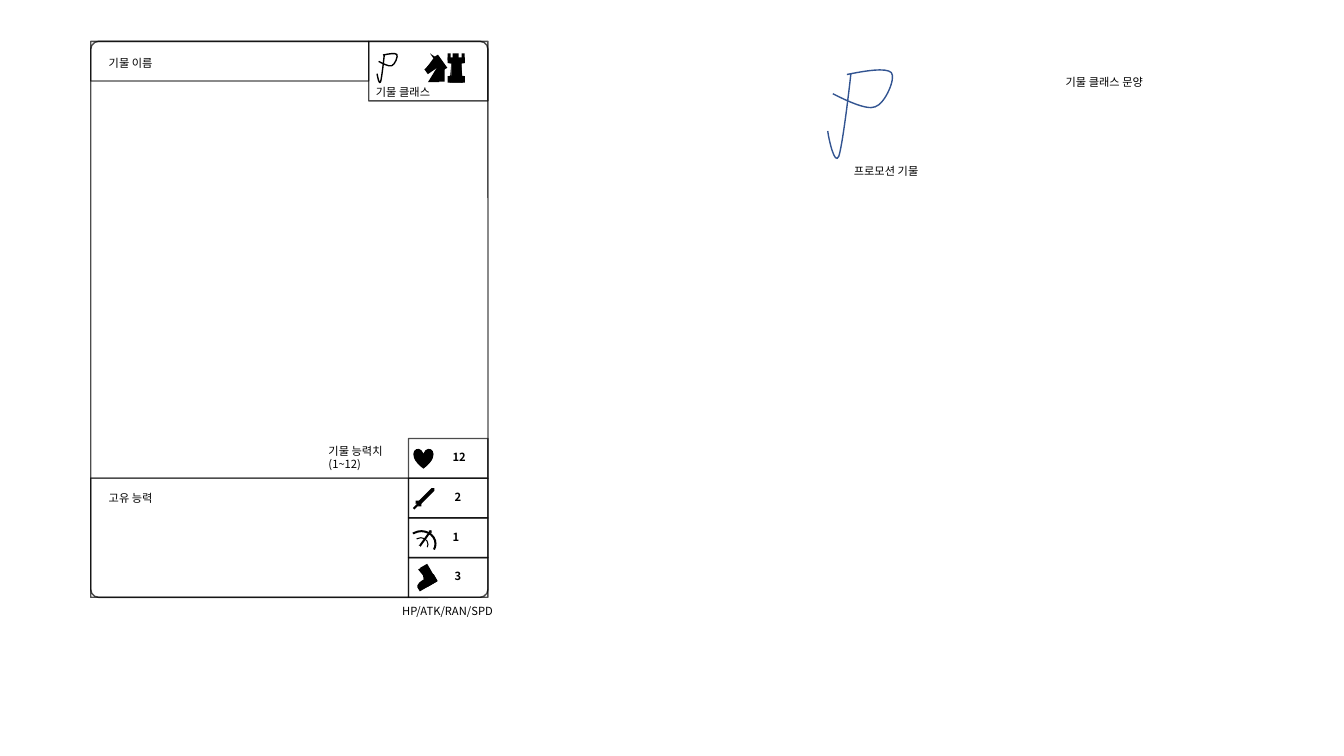
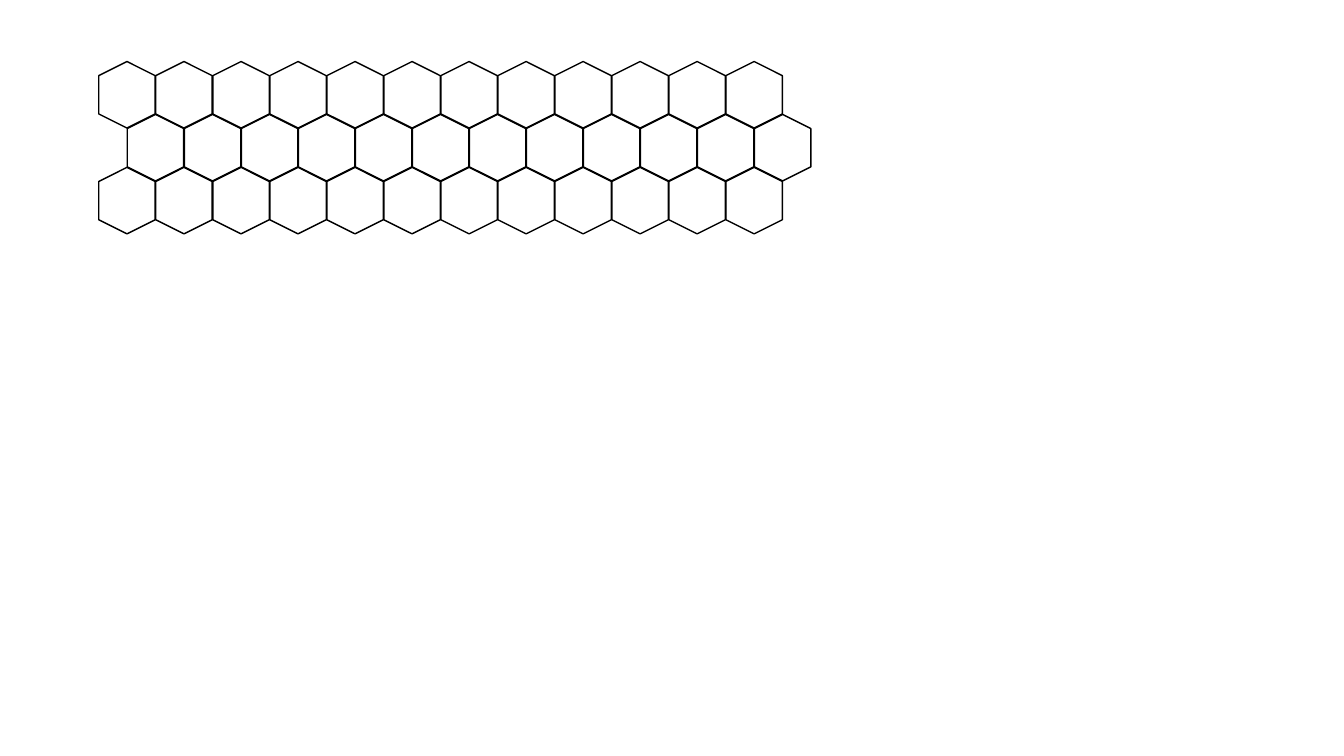
from lxml.etree import SubElement
from pptx import Presentation
from pptx.dml.color import RGBColor
from pptx.enum.shapes import MSO_SHAPE as S
from pptx.enum.text import MSO_AUTO_SIZE
from pptx.oxml.ns import qn
from pptx.util import Inches, Pt

BLACK = RGBColor(0x00, 0x00, 0x00)
BLUE = RGBColor(0x32, 0x54, 0x91)
FONT = "Noto Sans CJK KR"

# Card grid: 10 by 14 square cells
CARD_LEFT, CARD_TOP, CARD_WIDTH = 0.9, 0.41, 3.94
CELL = CARD_WIDTH / 10
FIRST_STAT_ROW = 10

# Icon parts: preset, (left, top, width, height), then options
HEART = [(S.HEART, (4.1, 4.45, 0.2, 0.2))]
SWORD = [
    (S.UP_ARROW, (4.21, 4.81, 0.04, 0.22), {"rotation": 45, "adjust": (1, 0.5)}),
    (S.UP_ARROW, (4.17, 4.86, 0.02, 0.22), {"rotation": 45, "adjust": (1, 0.5)}),
    (S.LEFT_RIGHT_ARROW, (4.11, 4.97, 0.08, 0.05), {"rotation": 45}),
]
ARC = {"adjust": (138.319, 14.867, 0.074)}
BOW = [
    (S.BLOCK_ARC, (4.03, 5.26, 0.3, 0.27), ARC),
    (S.BLOCK_ARC, (4.1, 5.33, 0.15, 0.14), ARC),
    (S.NOTCHED_RIGHT_ARROW, (4.12, 5.32, 0.2, 0.04), {"rotation": 305.9}),
]
BOOT = [
    (S.OVAL, (4.13, 5.75, 0.16, 0.08), {"rotation": 330}),
    (S.RECTANGLE, (4.21, 5.72, 0.12, 0.08), {"rotation": 330}),
    (S.RECTANGLE, (4.21, 5.6, 0.08, 0.19), {"rotation": 330}),
    (S.RIGHT_TRIANGLE, (4.19, 5.63, 0.03, 0.18), {"rotation": 150}),
    (S.RIGHT_TRIANGLE, (4.11, 5.7, 0.18, 0.07), {"rotation": 240}),
    (S.RECTANGLE, (4.14, 5.78, 0.2, 0.04), {"rotation": 330}),
]
KNIGHT = [
    (S.RIGHT_TRIANGLE, (4.21, 0.67, 0.18, 0.11), {"rotation": 270}),
    (S.PIE, (4.27, 0.58, 0.13, 0.14), {"adjust": (145.206, 54)}),
    (S.RECTANGLE, (4.34, 0.65, 0.07, 0.16)),
    (S.RIGHT_TRIANGLE, (4.24, 0.55, 0.05, 0.15), {"rotation": 235.2}),
    (S.RECTANGLE, (4.27, 0.57, 0.06, 0.18), {"rotation": 235.2}),
    (S.RIGHT_TRIANGLE, (4.26, 0.54, 0.08, 0.03), {"rotation": 235.2, "flip": "flipV"}),
    (S.FLOWCHART_MANUAL_INPUT, (4.29, 0.59, 0.16, 0.06), {"rotation": 58.7}),
    (S.PIE, (4.2, 0.62, 0.07, 0.09), {"rotation": 276.6, "adjust": (21.139, 125.215)}),
]
ROOK = [
    (S.RECTANGLE, (4.58, 0.53, 0.03, 0.07)),
    (S.RECTANGLE, (4.49, 0.53, 0.06, 0.07)),
    (S.FLOWCHART_OFFPAGE_CONNECTOR, (4.44, 0.57, 0.17, 0.07)),
    (S.RECTANGLE, (4.44, 0.53, 0.03, 0.07)),
    (S.RIGHT_TRIANGLE, (4.57, 0.59, 0.02, 0.23)),
    (S.RECTANGLE, (4.48, 0.6, 0.1, 0.22)),
    (S.RIGHT_TRIANGLE, (4.46, 0.59, 0.02, 0.23), {"flip": "flipH"}),
    (S.FLOWCHART_OFFPAGE_CONNECTOR, (4.44, 0.74, 0.17, 0.08), {"rotation": 180}),
]

# Letter P: each stroke is a start point followed by cubic control points
PROMOTION_STROKES = [
    [(0.23, 0.04), (0.19, 0.4), (0.14, 0.77), (0.11, 0.86),
     (0.07, 0.96), (0.01, 0.69), (0, 0.61)],
    [(0.19, 0.05), (0.38, 0.01), (0.58, -0.02), (0.63, 0.03),
     (0.68, 0.08), (0.57, 0.34), (0.47, 0.37),
     (0.38, 0.41), (0.13, 0.28), (0.05, 0.24)],
]


class Deck:
    def __init__(self):
        self.presentation = Presentation()
        self.presentation.slide_width = Inches(13.33)
        self.presentation.slide_height = Inches(7.5)
        self.slide = None

    def new_slide(self):
        self.slide = self.presentation.slides.add_slide(self.presentation.slide_layouts[6])

    def group(self):
        return self.slide.shapes.add_group_shape().shapes

    def add_preset(self, shapes, preset, box, rotation=0, adjust=(), flip=None):
        shape = shapes.add_shape(preset, *map(Inches, box))
        shape.shadow.inherit = False
        shape.rotation = rotation
        for index, value in enumerate(adjust):
            shape.adjustments[index] = value
        if flip:
            shape.element.spPr.find(qn("a:xfrm")).set(flip, "1")
        return shape

    def outline(self, shape, color=BLACK, opacity=100):
        shape.fill.background()
        shape.line.color.rgb = color
        shape.line.width = Pt(1)
        if opacity < 100:
            srgb = shape.element.spPr.find(f"{qn('a:ln')}//{qn('a:srgbClr')}")
            SubElement(srgb, qn("a:alpha"), val=str(opacity * 1000))

    def frame(self, column, row, columns, rows, preset=S.RECTANGLE, adjust=()):
        """Draw a card panel placed in grid cells."""
        box = (CARD_LEFT + column * CELL, CARD_TOP + row * CELL, columns * CELL, rows * CELL)
        panel = self.add_preset(self.slide.shapes, preset, box, adjust=adjust)
        self.outline(panel, opacity=70)

    def icon(self, parts):
        shapes = self.group() if len(parts) > 1 else self.slide.shapes
        for preset, box, *options in parts:
            part = self.add_preset(shapes, preset, box, **(options[0] if options else {}))
            part.fill.solid()
            part.fill.fore_color.rgb = BLACK
            part.line.fill.background()

    def curve(self, shapes, points, color):
        """Draw a chain of cubic curves: every third point lies on the line."""
        builder = shapes.build_freeform(*points[0])
        builder.add_line_segments(points[3::3], close=False)
        stroke = builder.convert_to_shape()
        stroke.shadow.inherit = False
        self.outline(stroke, color)
        segments = list(stroke.element.iter(qn("a:lnTo")))
        for index, segment in enumerate(segments):
            bezier = SubElement(segment.getparent(), qn("a:cubicBezTo"))
            for x, y in points[3 * index + 1:3 * index + 4]:
                SubElement(bezier, qn("a:pt"), x=str(x - stroke.left), y=str(y - stroke.top))
            segment.getparent().replace(segment, bezier)

    def promotion_mark(self, left, top, scale_x, scale_y, color):
        shapes = self.group()
        for stroke in PROMOTION_STROKES:
            points = [(Inches(left + x * scale_x), Inches(top + y * scale_y))
                      for x, y in stroke]
            self.curve(shapes, points, color)

    def label(self, text, left, top, width, height=0.24, bold=None):
        box = self.slide.shapes.add_textbox(*map(Inches, (left, top, width, height)))
        frame = box.text_frame
        frame.word_wrap = True
        frame.auto_size = MSO_AUTO_SIZE.SHAPE_TO_FIT_TEXT
        frame.text = text
        for paragraph in frame.paragraphs:
            font = paragraph.font
            font.size = Pt(8)
            font.name = FONT
            font.bold = bold
            font.color.rgb = BLACK
            SubElement(font._element, qn("a:ea"), typeface=FONT)

    def hexagon_board(self, left, top, columns, rows, pitch_x, pitch_y):
        shapes = self.group()
        for row in reversed(range(rows)):
            for column in range(columns):
                x = left + (column + row % 2 / 2) * pitch_x
                cell = self.add_preset(shapes, S.HEXAGON,
                                       (x, top + row * pitch_y, 0.66, 0.56), rotation=270)
                self.outline(cell)


def build_card(deck):
    deck.new_slide()
    deck.frame(0, 0, 10, 14, S.ROUNDED_RECTANGLE, (0.02,))
    deck.frame(0, 0, 7, 1)
    deck.frame(7, 0, 3, 1.5)
    deck.frame(0, 11, 8, 3)
    for row in reversed(range(FIRST_STAT_ROW, 14)):
        deck.frame(8, row, 2, 1)
    for symbol in (HEART, SWORD, BOW, BOOT):
        deck.icon(symbol)

    deck.label("고유 능력", 0.98, 4.83, 1.11)
    deck.label("기물 이름", 0.98, 0.51, 1.11)
    stats = [("12", 4.39), ("2", 4.41), ("1", 4.39), ("3", 4.41)]
    for row, (value, left) in enumerate(stats, start=FIRST_STAT_ROW):
        deck.label(value, left, CARD_TOP + row * CELL + 0.07, 0.38, bold=True)
    deck.label("기물 클래스", 3.63, 0.8, 0.82)

    deck.promotion_mark(3.74, 0.53, 0.31, 0.33, BLACK)
    deck.icon(KNIGHT)
    deck.icon(ROOK)
    deck.label("기물 능력치\n(1~12)", 3.16, 4.36, 0.94, 0.37)

    deck.promotion_mark(8.21, 0.69, 1, 1, BLUE)
    deck.label("기물 클래스 문양", 10.47, 0.7, 1.08)
    deck.label("프로모션 기물", 8.37, 1.58, 1.08)
    deck.label("HP/ATK/RAN/SPD", 3.89, 5.95, 1.18)


def build_board(deck):
    deck.new_slide()
    deck.hexagon_board(0.93, 0.66, columns=12, rows=3,
                       pitch_x=(7.15 - 0.93) / 11, pitch_y=(1.71 - 0.66) / 2)


def main():
    deck = Deck()
    build_card(deck)
    build_board(deck)
    deck.presentation.save("out.pptx")


if __name__ == "__main__":
    main()
